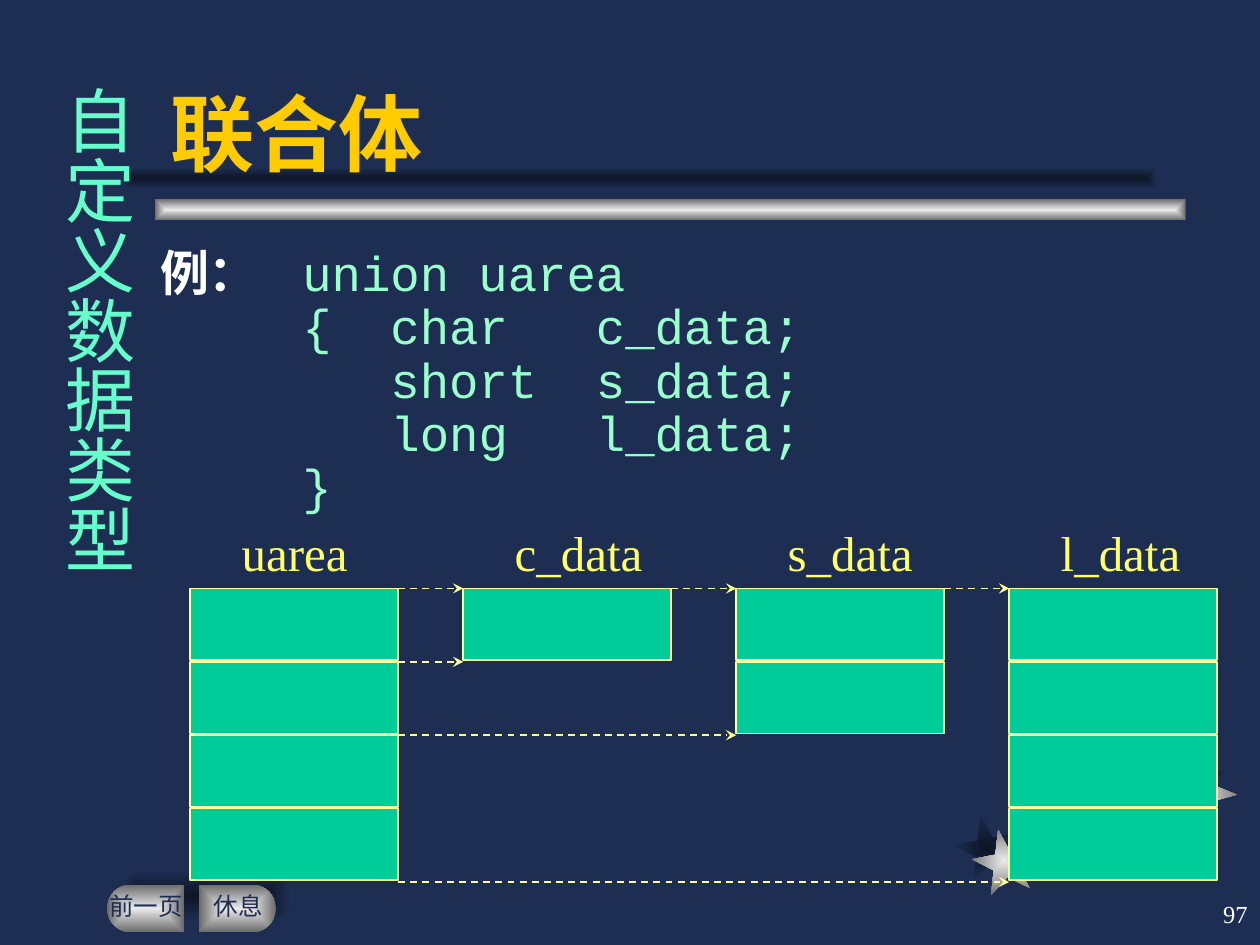
from dataclasses import dataclass
from math import cos, pi, sin

from lxml.etree import SubElement
from pptx import Presentation
from pptx.dml.color import RGBColor
from pptx.enum.dml import MSO_LINE
from pptx.enum.shapes import MSO_CONNECTOR, MSO_SHAPE
from pptx.enum.text import MSO_ANCHOR, MSO_AUTO_SIZE, PP_ALIGN
from pptx.oxml import parse_xml
from pptx.oxml.ns import nsdecls, qn
from pptx.util import Inches, Pt


@dataclass(frozen=True)
class Theme:
    """Colours, fonts and type sizes of the slide."""
    background: str = "1E2E53"
    shade: tuple = ("0D1526", "1E2E53")
    metal: tuple = ("EAEAEA", "6B6B6B")
    title: str = "FFCC00"
    white: str = "FFFFFF"
    code: str = "99FFCC"
    chapter: str = "66FFCC"
    label: str = "FFFF66"
    cell: str = "00CC99"
    line: str = "FFFF99"
    serif: str = "Times New Roman"
    sans: str = "Arial"
    mono: str = "Courier New"
    east_asian: str = "Noto Sans CJK SC"
    title_size: int = 48
    chapter_size: int = 40
    body_size: int = 28
    small_size: int = 14


@dataclass(frozen=True)
class Box:
    """A rectangle on a grid of 100 columns and 75 rows."""
    left: float
    top: float
    width: float
    height: float

    def inner(self, left, top, width, height):
        """Return a box placed relative to this one."""
        return Box(self.left + left, self.top + top, width, height)

    def lengths(self):
        """Return position and size as slide lengths."""
        return [grid(v) for v in (self.left, self.top, self.width, self.height)]


THEME = Theme()


def grid(units):
    """Turn grid units into a slide length."""
    return Inches(units / 10)


def add_run(paragraph, text, size, font, colour, bold=False):
    """Add one formatted run to a paragraph."""
    run = paragraph.add_run()
    run.text = text
    run.font.size = Pt(size)
    run.font.name = font
    run.font.bold = bold
    run.font.color.rgb = RGBColor.from_string(colour)
    SubElement(run.font._element, qn("a:ea")).set("typeface", THEME.east_asian)


def set_indent(paragraph, margin, first):
    """Set a hanging indent without a bullet."""
    properties = paragraph._p.get_or_add_pPr()
    properties.set("marL", str(grid(margin)))
    properties.set("indent", str(grid(first)))
    SubElement(properties, qn("a:buNone"))


def add_text(slide, box, text, size, font, colour, align=PP_ALIGN.LEFT, wrap=True, margins=(1, 0.5)):
    """Add a text box of one paragraph and return its frame."""
    frame = slide.shapes.add_textbox(*box.lengths()).text_frame
    frame.word_wrap = wrap
    frame.margin_left = frame.margin_right = grid(margins[0])
    frame.margin_top = frame.margin_bottom = grid(margins[1])
    frame.paragraphs[0].alignment = align
    add_run(frame.paragraphs[0], text, size, font, colour)
    return frame


def fill_gradient(shape, colours):
    """Fill a shape from its centre to its edges, without line or shadow."""
    shape.shadow.inherit = False
    shape.line.fill.background()
    shape.fill.background()
    properties = shape.element.spPr
    stops = "".join(
        f'<a:gs pos="{position}"><a:srgbClr val="{colour}"/></a:gs>'
        for position, colour in zip((0, 100000), colours))
    properties.replace(properties.find(qn("a:noFill")), parse_xml(
        f'<a:gradFill {nsdecls("a")} rotWithShape="1"><a:gsLst>{stops}</a:gsLst>'
        '<a:path path="rect"><a:fillToRect l="50000" t="50000" r="50000" b="50000"/></a:path>'
        '</a:gradFill>'))


def add_gradient_shape(slide, kind, box, colours, rotation=0):
    """Add a preset shape with a centred gradient."""
    shape = slide.shapes.add_shape(kind, *box.lengths())
    shape.rotation = rotation
    fill_gradient(shape, colours)
    return shape


def add_stars(slide, box):
    """Place three stars over their shadows."""
    layers = (
        (THEME.shade, ((0, 7.2, 5, 349), (8.3, 1, 4.6, 0), (14.8, 0, 6.7, 22))),
        (THEME.metal, ((1.4, 8.3, 5, 349), (9.1, 1.9, 4.6, 0), (15.6, 1.7, 6.7, 22))),
    )
    for colours, stars in layers:
        for left, top, size, rotation in stars:
            add_gradient_shape(slide, MSO_SHAPE.STAR_5_POINT,
                               box.inner(left, top, size, size), colours, rotation)


def add_title_bar(slide, box):
    """Place the metal bar and its shadow under the title."""
    for left, top, colours in ((2.3, 2.5, THEME.metal), (0, 0, THEME.shade)):
        add_gradient_shape(slide, MSO_SHAPE.RECTANGLE, box.inner(left, top, 81.8, 1.7), colours)


def add_buttons(slide, box):
    """Place two half-round navigation buttons over a shadow."""
    shadow = add_gradient_shape(slide, MSO_SHAPE.ROUNDED_RECTANGLE,
                                box.inner(1.2, 0, 13.4, 4.2), THEME.shade)
    shadow.adjustments[0] = 0.5
    width, radius = 6.1, 1.9
    middle = box.top + 1.2 + radius
    for left, side, caption in ((0, -1, "前一页"), (7.3, 1, "休息")):
        centre = box.left + left + width / 2
        flat = centre - side * width / 2
        arc_centre = centre + side * (width / 2 - radius)
        angles = [-pi / 2 + pi * step / 20 for step in range(21)]
        points = [(arc_centre + side * radius * cos(a), middle + radius * sin(a)) for a in angles]
        points.append((flat, middle + radius))
        builder = slide.shapes.build_freeform(grid(flat), grid(middle - radius))
        builder.add_line_segments([(grid(x), grid(y)) for x, y in points], close=True)
        fill_gradient(builder.convert_to_shape(), THEME.metal)
        add_text(slide, Box(centre - 3.3, box.top + 1.7, 6.7, 2.3), caption, THEME.small_size,
                 THEME.serif, THEME.background, PP_ALIGN.CENTER, margins=(0, 0))


def place_placeholder(shape, box):
    """Move a placeholder to a box, in front of the decoration."""
    shape.left, shape.top, shape.width, shape.height = box.lengths()
    shape.element.getparent().append(shape.element)
    shape.text_frame.auto_size = MSO_AUTO_SIZE.NONE
    return shape.text_frame


def fill_title(slide, box):
    """Write the slide title."""
    frame = place_placeholder(slide.shapes.title, box)
    frame.vertical_anchor = MSO_ANCHOR.BOTTOM
    frame.paragraphs[0].alignment = PP_ALIGN.LEFT
    add_run(frame.paragraphs[0], "联合体", THEME.title_size, THEME.sans, THEME.title, True)


def fill_code(slide, box):
    """Write the union declaration."""
    frame = place_placeholder(slide.placeholders[1], box)
    lines = ("union uarea", "{  char   c_data;", "   short  s_data;", "   long   l_data;", "}")
    for number, line in enumerate(lines):
        paragraph = frame.add_paragraph() if number else frame.paragraphs[0]
        paragraph.line_spacing = 0.7
        paragraph.space_before = Pt(7 if number else 0)
        if number:
            paragraph.level = 1
            set_indent(paragraph, 14.4, -3.1)
        else:
            set_indent(paragraph, 11.3, -11.3)
            add_run(paragraph, "例：\t", THEME.body_size, THEME.serif, THEME.white, True)
        add_run(paragraph, line, THEME.body_size, THEME.mono, THEME.code)


def add_arrow(slide, start, end, height):
    """Add a dashed horizontal arrow."""
    arrow = slide.shapes.add_connector(
        MSO_CONNECTOR.STRAIGHT, grid(start), grid(height), grid(end), grid(height))
    arrow.line.color.rgb = RGBColor.from_string(THEME.line)
    arrow.line.width = Pt(1)
    arrow.line.dash_style = MSO_LINE.DASH
    SubElement(arrow.line._ln, qn("a:tailEnd")).set("type", "stealth")
    SubElement(arrow.element.spPr, qn("a:effectLst"))


def add_memory_diagram(slide, box):
    """Draw each member's cells and link them to the shared area."""
    members = (("uarea", 4, 10.4), ("c_data", 1, 12.2), ("s_data", 2, 11.9), ("l_data", 4, 11.5))
    cell_width, cell_height, label_height = 16.5, 5.7, 5.7
    pitch = (box.width - cell_width) / (len(members) - 1)
    row = (box.height - label_height) / 4
    top = box.top + label_height
    area_right = box.left + cell_width
    for column, (name, count, label_width) in enumerate(members):
        left = box.left + column * pitch
        add_text(slide, Box(left + 3.1, box.top, label_width, label_height), name,
                 THEME.body_size, THEME.serif, THEME.label, wrap=False)
        for number in range(count):
            cell = slide.shapes.add_shape(
                MSO_SHAPE.RECTANGLE, *Box(left, top + number * row, cell_width, cell_height).lengths())
            cell.shadow.inherit = False
            cell.fill.solid()
            cell.fill.fore_color.rgb = RGBColor.from_string(THEME.cell)
            cell.line.color.rgb = RGBColor.from_string(THEME.line)
            cell.line.width = Pt(1)
        if column:
            add_arrow(slide, left - pitch + cell_width, left, top)
            add_arrow(slide, area_right, left, top + count * row)


def add_chapter(slide, box):
    """Write the chapter name down the left side."""
    frame = add_text(slide, box, "自定义数据类型", THEME.chapter_size, THEME.east_asian,
                     THEME.chapter, PP_ALIGN.CENTER, margins=(0.5, 1))
    frame._txBody.bodyPr.set("vert", "eaVert")


def add_page_number(slide, box):
    """Write the page number."""
    frame = add_text(slide, box, "97", THEME.small_size, THEME.serif, THEME.white, PP_ALIGN.RIGHT)
    frame.vertical_anchor = MSO_ANCHOR.MIDDLE


def main():
    """Build the slide and save it."""
    presentation = Presentation()
    presentation.slide_width, presentation.slide_height = grid(100), grid(75)
    slide = presentation.slides.add_slide(presentation.slide_layouts[1])
    slide.background.fill.solid()
    slide.background.fill.fore_color.rgb = RGBColor.from_string(THEME.background)
    add_stars(slide, Box(75.8, 57.5, 22.3, 13.3))
    add_title_bar(slide, Box(10, 13.3, 84.1, 4.2))
    add_buttons(slide, Box(8.5, 69, 14.6, 5))
    fill_code(slide, Box(11.7, 20, 80.8, 21.7))
    add_memory_diagram(slide, Box(15.1, 41, 81.5, 29))
    fill_title(slide, Box(12.5, 2.5, 80, 12.5))
    add_chapter(slide, Box(3, 5.8, 8.6, 62.5))
    add_page_number(slide, Box(79.2, 70, 20.8, 5))
    presentation.save("out.pptx")


if __name__ == "__main__":
    main()
